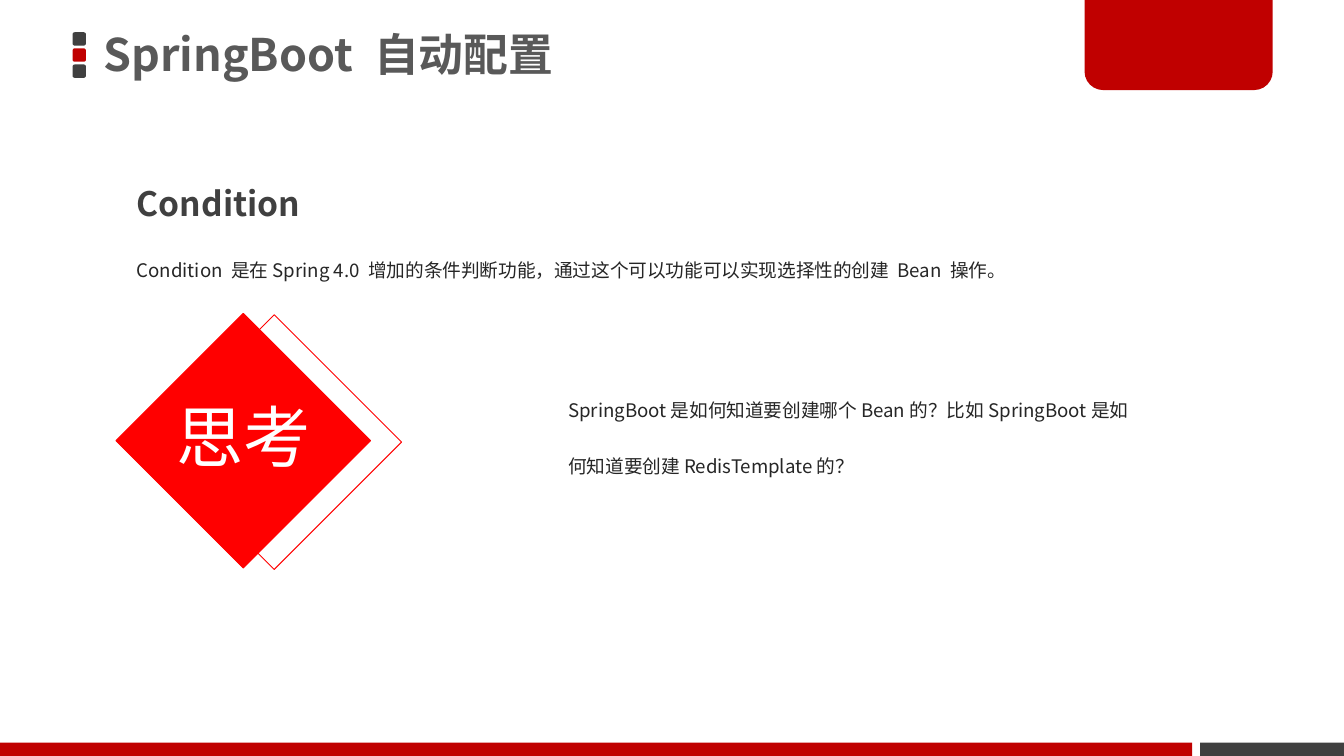
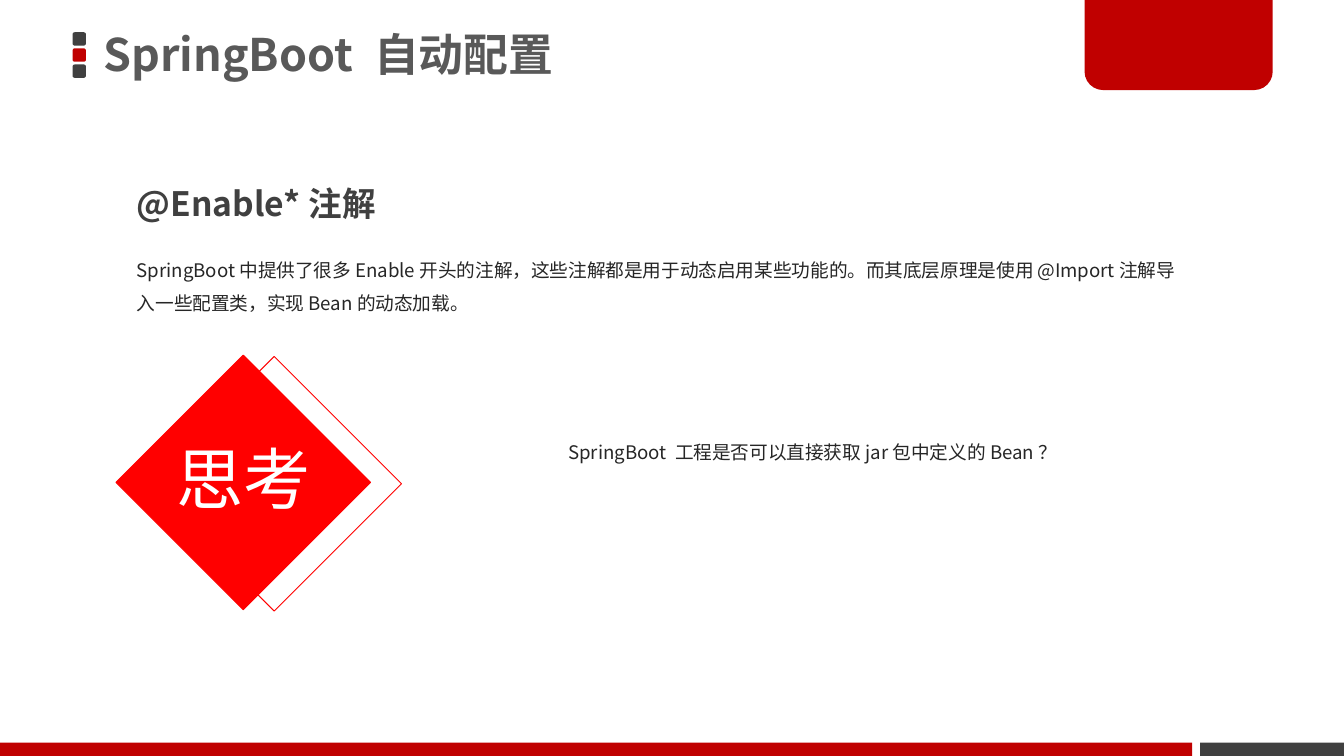
from pptx import Presentation
from pptx import util as u
from pptx.dml.color import RGBColor
from pptx.enum import shapes, text
from pptx.oxml.ns import qn
from lxml import etree

W = 10
H = W * 9 / 16
FONT = "Noto Sans CJK SC"
RED, BRIGHT, DARK = "C00000", "FF0000", "404040"
TITLE, BODY, WHITE = "595959", "262626", "FFFFFF"
LEFT, BODY_W = 0.92, 7.97
BAR_H, BAR_GAP = 0.1, 0.06
BAR_SPLIT = 8.87
SHAPE = shapes.MSO_SHAPE
TOP, MIDDLE = text.MSO_ANCHOR.TOP, text.MSO_ANCHOR.MIDDLE

# Heading, description, question, top of the diamond
PAGES = [
    ("Condition",
     "Condition 是在Spring 4.0 增加的条件判断功能，通过这个可以功能可以实现选择性的创建 Bean 操作。",
     "SpringBoot是如何知道要创建哪个Bean的？比如SpringBoot是如何知道要创建RedisTemplate的？",
     2.61),
    ("@Enable*注解",
     "SpringBoot中提供了很多Enable开头的注解，这些注解都是用于动态启用某些功能的。而其底层原理是使用@Import注解导入一些配置类，实现Bean的动态加载。",
     "SpringBoot 工程是否可以直接获取jar包中定义的Bean？",
     2.92),
]


def add_block(s, kind, x, y, w, h, fill=None, line=None):
    sp = s.shapes.add_shape(kind, u.Inches(x), u.Inches(y), u.Inches(w), u.Inches(h))
    sp.shadow.inherit = False
    if fill:
        sp.fill.solid()
        sp.fill.fore_color.rgb = RGBColor.from_string(fill)
    else:
        sp.fill.background()
    if line:
        sp.line.color.rgb = RGBColor.from_string(line)
        sp.line.width = u.Pt(0.5)
    else:
        sp.line.fill.background()
    return sp


def write(sp, box, words, size, color, spacing, bold=False, anchor=TOP,
          align=text.PP_ALIGN.LEFT, inset=(0.1, 0.05)):
    sp.left, sp.top, sp.width, sp.height = (u.Inches(v) for v in box)
    tf = sp.text_frame
    tf.word_wrap = True
    tf.auto_size = text.MSO_AUTO_SIZE.NONE
    tf.vertical_anchor = anchor
    tf.margin_left = tf.margin_right = u.Inches(inset[0])
    tf.margin_top = tf.margin_bottom = u.Inches(inset[1])
    p = tf.paragraphs[0]
    p.text = words
    p.alignment, p.line_spacing = align, spacing
    p.space_before = u.Pt(0)
    p.font.size, p.font.bold = u.Pt(size), bold
    p.font.color.rgb = RGBColor.from_string(color)
    p.font.name = FONT
    # East Asian characters take their own typeface
    etree.SubElement(p._p.pPr.find(qn("a:defRPr")), qn("a:ea"), typeface=FONT)


prs = Presentation()
prs.slide_width, prs.slide_height = u.Inches(W), u.Inches(H)

for heading, description, question, top in PAGES:
    s = prs.slides.add_slide(prs.slide_layouts[5])

    # Title with its three marker squares
    write(s.shapes.title, (0.69, -0.02, 5.89, 0.89), "SpringBoot 自动配置", 24, TITLE,
          0.9, bold=True, anchor=MIDDLE, inset=(0.08, 0.04))
    for row, color in enumerate((DARK, RED, DARK)):
        add_block(s, SHAPE.ROUNDED_RECTANGLE, 0.54, 0.24 + row * 0.12, 0.1, 0.1, color)

    # Corner tab, rounded at the bottom only
    tab = add_block(s, SHAPE.ROUND_2_SAME_RECTANGLE, 8.07, -0.02, 1.4, 0.69, RED)
    tab.adjustments[0], tab.adjustments[1] = 0, 0.2

    # Footer band
    bar_x = BAR_SPLIT + BAR_GAP
    add_block(s, SHAPE.RECTANGLE, 0, H - BAR_H, BAR_SPLIT, BAR_H, RED)
    add_block(s, SHAPE.RECTANGLE, bar_x, H - BAR_H, W - bar_x, BAR_H, DARK)

    # Diamond in front of an outlined one
    side = 1.34
    for x, fill in ((1.37, None), (1.14, BRIGHT)):
        y = top if fill else top + 0.01
        add_block(s, SHAPE.RECTANGLE, x, y, side, side, fill, BRIGHT).rotation = 45
    write(s.shapes.add_textbox(0, 0, 0, 0), (0.74, top + 0.32, 2.14, 0.7), "思考", 36, WHITE,
          0.9, anchor=MIDDLE, align=text.PP_ALIGN.CENTER, inset=(0.08, 0.04))

    # Heading, description and question
    for box, words, size, color, spacing, bold in (
        ((LEFT, 1.16, 4.47, 0.55), heading, 18, DARK, 1.5, True),
        ((LEFT, 1.79, BODY_W, 0.6), description, 10, BODY, 1.5, False),
        ((4.13, top + 0.06, 4.49, 0.94), question, 10, BODY, 2.5, False),
    ):
        write(s.shapes.add_textbox(0, 0, 0, 0), box, words, size, color, spacing, bold)

prs.save("out.pptx")
